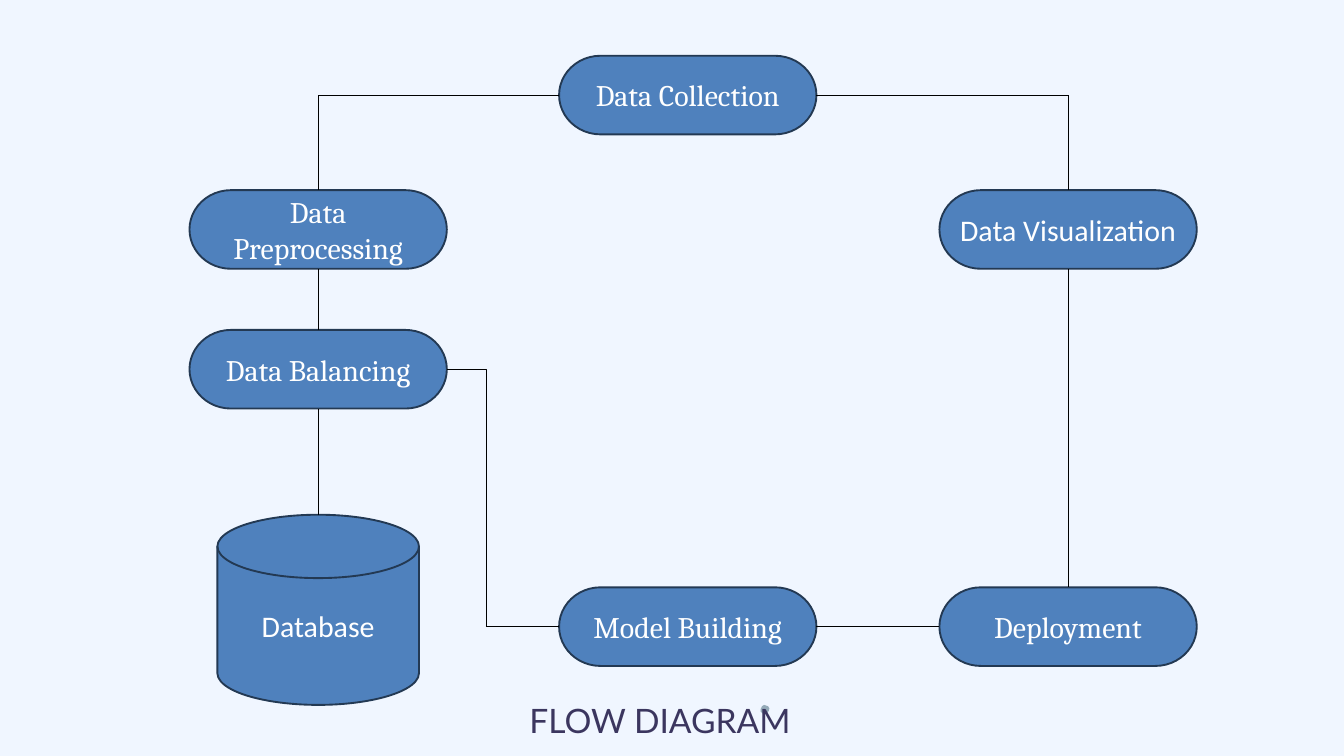
from pptx import Presentation
from pptx.dml.color import RGBColor
from pptx.enum.shapes import MSO_CONNECTOR as Link, MSO_SHAPE as Shape
from pptx.enum.text import MSO_ANCHOR as Anchor, PP_ALIGN as Align
from pptx.oxml.ns import qn
from pptx.util import Inches, Pt
from lxml import etree

BACKGROUND = RGBColor(0xF0, 0xF6, 0xFF)
BLUE = RGBColor(0x4F, 0x81, 0xBD)
OUTLINE = RGBColor(0x23, 0x39, 0x53)
WHITE = RGBColor(0xFF, 0xFF, 0xFF)
BLACK = RGBColor(0, 0, 0)
TITLE = RGBColor(0x3B, 0x36, 0x5F)
DOT = RGBColor(0x94, 0xAA, 0xB8)

TOP, LEFT, BOTTOM, RIGHT = range(4)
BOX_WIDTH, BOX_HEIGHT = 3.83, 1.17
COLUMNS = 2.82, 8.32, 13.98
ROWS = 0.83, 2.83, 4.91, 8.74
LEFT_AXIS, RIGHT_AXIS = (x + BOX_WIDTH / 2 for x in (COLUMNS[0], COLUMNS[2]))
TOP_AXIS, BALANCING_AXIS, BOTTOM_AXIS = (
    y + BOX_HEIGHT / 2 for y in (ROWS[0], ROWS[2], ROWS[3]))
ELBOW_X = 7.23
DISK_TOP = 7.66

deck = Presentation()
deck.slide_width, deck.slide_height = Inches(20), Inches(11.25)
page = deck.slides.add_slide(deck.slide_layouts[6])
page.background.fill.solid()
page.background.fill.fore_color.rgb = BACKGROUND


def write(frame, text, color, **formats):
    para = frame.paragraphs[0]
    span = para.add_run()
    span.text = text
    span.font.color.rgb = color
    for name, value in formats.items():
        setattr(span.font, name, value)
    return para


def connect(start, end, kind=Link.STRAIGHT):
    """Each end is an (x, y) point or a (box, side) pair."""
    points = [(0, 0) if end_is_box else tuple(map(Inches, spot))
              for spot in (start, end)
              for end_is_box in [spot[0] in boxes.values()]]
    line = page.shapes.add_connector(kind, *points[0], *points[1])
    for spot, join in ((start, line.begin_connect), (end, line.end_connect)):
        if spot[0] in boxes.values():
            join(*spot)
    line.line.color.rgb = BLACK
    line.line.width = Pt(0.75)
    etree.SubElement(line._element.spPr, qn("a:effectLst"))
    return line


# Small dot behind the title
dot_points = [(11.44, 10.58), (11.41, 10.62), (11.35, 10.62), (11.32, 10.59),
              (11.32, 10.55), (11.34, 10.51), (11.37, 10.49), (11.43, 10.51)]
builder = page.shapes.build_freeform(Inches(11.45), Inches(10.54))
builder.add_line_segments([(Inches(x), Inches(y)) for x, y in dot_points])
dot = builder.convert_to_shape()
dot.shadow.inherit = False
dot.fill.solid()
dot.fill.fore_color.rgb = DOT
dot.line.fill.background()

# Steps: label, column, row, font
steps = [
    ("Data Collection", 1, 0, "Cambria"),
    ("Data Visualization", 2, 1, "Calibri"),
    ("Data Preprocessing", 0, 1, "Cambria"),
    ("Data Balancing", 0, 2, "Cambria"),
    ("Model Building", 1, 3, "Cambria"),
    ("Deployment", 2, 3, "Cambria"),
]
items = [(label, Shape.FLOWCHART_TERMINATOR, font,
          (COLUMNS[column], ROWS[row], BOX_WIDTH, BOX_HEIGHT))
         for label, column, row, font in steps]
items.append(("Database", Shape.FLOWCHART_MAGNETIC_DISK, "Calibri",
              (LEFT_AXIS - 1.5, DISK_TOP, 3, 2.83)))

boxes = {}
for label, kind, font, place in items:
    box = page.shapes.add_shape(kind, *map(Inches, place))
    box.shadow.inherit = False
    box.fill.solid()
    box.fill.fore_color.rgb = BLUE
    box.line.color.rgb = OUTLINE
    box.line.width = Pt(2)
    box.text_frame.word_wrap = True
    box.text_frame.vertical_anchor = Anchor.MIDDLE
    para = write(box.text_frame, label, WHITE, name=font, size=Pt(32))
    para.alignment = Align.CENTER
    boxes[label] = box

# Connectors
collection, visualization, preprocessing, balancing, building, deployment = (
    boxes[step[0]] for step in steps)
links = [
    ((collection, LEFT), (LEFT_AXIS, TOP_AXIS)),
    ((LEFT_AXIS, TOP_AXIS), (preprocessing, TOP)),
    ((collection, RIGHT), (RIGHT_AXIS, TOP_AXIS)),
    ((RIGHT_AXIS, TOP_AXIS), (visualization, TOP)),
    ((preprocessing, BOTTOM), (balancing, TOP)),
    ((balancing, BOTTOM), (LEFT_AXIS, DISK_TOP)),
    ((ELBOW_X, BOTTOM_AXIS), (building, LEFT)),
    ((building, RIGHT), (deployment, LEFT)),
    ((visualization, BOTTOM), (deployment, TOP)),
]
for start, end in links:
    connect(start, end)

# Single-bend connector from balancing down to model building
elbow = connect((COLUMNS[0] + BOX_WIDTH, BALANCING_AXIS),
                (ELBOW_X, BOTTOM_AXIS), Link.ELBOW)
elbow._element.spPr.find(qn("a:prstGeom")).set("prst", "bentConnector2")

# Title
title = page.shapes.add_textbox(*map(Inches, (7.78, 10.36, 4.72, 0.71)))
title.text_frame.word_wrap = True
write(title.text_frame, "FLOW DIAGRAM", TITLE, name="Lato", size=Pt(36))

deck.save("out.pptx")
